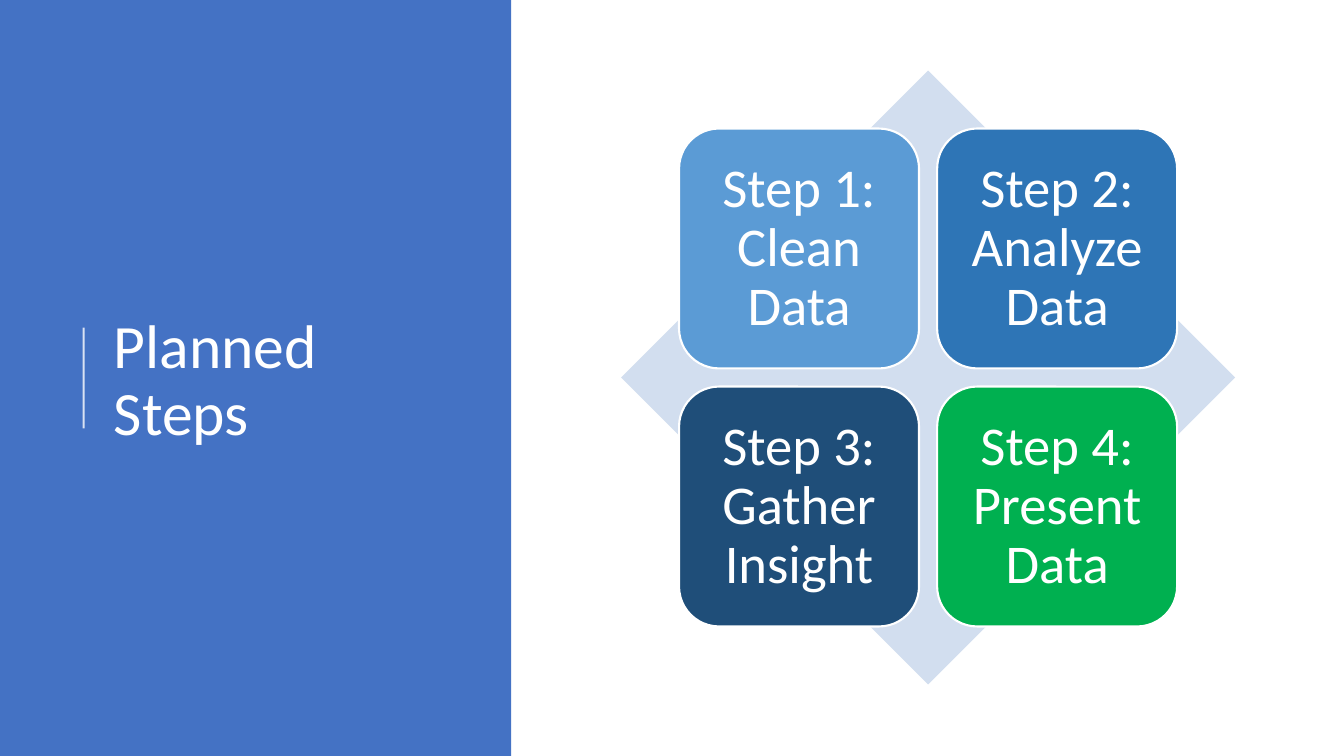
from lxml.etree import SubElement
from pptx import Presentation
from pptx.dml.color import RGBColor
from pptx.enum.shapes import MSO_CONNECTOR as Connector, MSO_SHAPE as Shape
from pptx.enum.text import MSO_ANCHOR as Anchor, PP_ALIGN as Align
from pptx.oxml.ns import qn
from pptx.util import Inches, Pt

# Content
TITLE = "Planned Steps"
STEPS = [
    ("Step 1: Clean Data", "5B9BD5"),
    ("Step 2: Analyze Data", "2E75B6"),
    ("Step 3: Gather Insight", "1F4E79"),
    ("Step 4: Present Data", "00B050"),
]

# Theme and layout, lengths in inches
THEME = {
    "font": "Calibri", "title_size": 44, "step_size": 39, "outline": 1.5,
    "text": "FFFFFF", "panel": "4472C4", "diamond": "D2DEEF",
}
SLIDE_W, SLIDE_H = 13.33, 7.5
PANEL_W = 5.07
TITLE_BOX = (1.03, 0.78, 3.69, 6.02)
RULE_X, RULE_TOP, RULE_BOTTOM = 0.83, 3.25, 4.25
DIAMOND_X, DIAMOND_Y, DIAMOND_SIZE = 6.16, 0.7, 6.09
TILE, GAP, COLUMNS = 2.38, 0.18, 2


def color(name):
    return RGBColor.from_string(THEME.get(name, name))


def add_block(slide, preset, box, fill, outlined=False):
    block = slide.shapes.add_shape(preset, *map(Inches, box))
    block.shadow.inherit = False
    block.fill.solid()
    block.fill.fore_color.rgb = color(fill)
    if outlined:
        block.line.color.rgb = color("text")
        block.line.width = Pt(THEME["outline"])
    else:
        block.line.fill.background()
    return block


def write(holder, text, size, align, margins):
    frame = holder.text_frame
    frame_format = {"word_wrap": True, "vertical_anchor": Anchor.MIDDLE}
    for side, margin in zip(("left", "top", "right", "bottom"), margins):
        frame_format[f"margin_{side}"] = Inches(margin)
    paragraph = frame.paragraphs[0]
    run = paragraph.add_run()
    run.text = text
    run.font.color.rgb = color("text")
    formats = [
        (frame, frame_format),
        (paragraph, {"alignment": align, "line_spacing": 0.9}),
        (run.font, {"name": THEME["font"], "size": Pt(size)}),
    ]
    for target, values in formats:
        for key, value in values.items():
            setattr(target, key, value)


def add_title_panel(slide):
    add_block(slide, Shape.RECTANGLE, (0, 0, PANEL_W, SLIDE_H), "panel")
    title = slide.shapes.add_textbox(*map(Inches, TITLE_BOX))
    # The wide right margin keeps the title on two lines
    write(title, TITLE, THEME["title_size"], Align.LEFT, (0.1, 0.05, 0.5, 0.05))

    # Thin rule beside the title, slightly transparent
    ends = (RULE_X, RULE_BOTTOM, RULE_X, RULE_TOP)
    rule = slide.shapes.add_connector(Connector.STRAIGHT, *map(Inches, ends))
    rule.line.color.rgb = color("text")
    rule.line.width = Pt(THEME["outline"])
    properties = rule.element.spPr
    tint = next(properties.iter(qn("a:srgbClr")))
    SubElement(tint, qn("a:alpha")).set("val", "80000")
    SubElement(properties, qn("a:effectLst"))


def add_step_matrix(slide):
    add_block(slide, Shape.DIAMOND,
              (DIAMOND_X, DIAMOND_Y, DIAMOND_SIZE, DIAMOND_SIZE), "diamond")

    # Tiles are centred on the diamond
    inset = (DIAMOND_SIZE - COLUMNS * TILE - GAP) / 2
    for index, (step, fill) in enumerate(STEPS):
        row, column = divmod(index, COLUMNS)
        left = DIAMOND_X + inset + column * (TILE + GAP)
        top = DIAMOND_Y + inset + row * (TILE + GAP)
        tile = add_block(slide, Shape.ROUNDED_RECTANGLE,
                         (left, top, TILE, TILE), fill, outlined=True)
        write(tile, step, THEME["step_size"], Align.CENTER, (0.16,) * 4)


def main():
    deck = Presentation()
    deck.slide_width, deck.slide_height = Inches(SLIDE_W), Inches(SLIDE_H)
    slide = deck.slides.add_slide(deck.slide_layouts[6])
    add_title_panel(slide)
    add_step_matrix(slide)
    deck.save("out.pptx")


if __name__ == "__main__":
    main()
